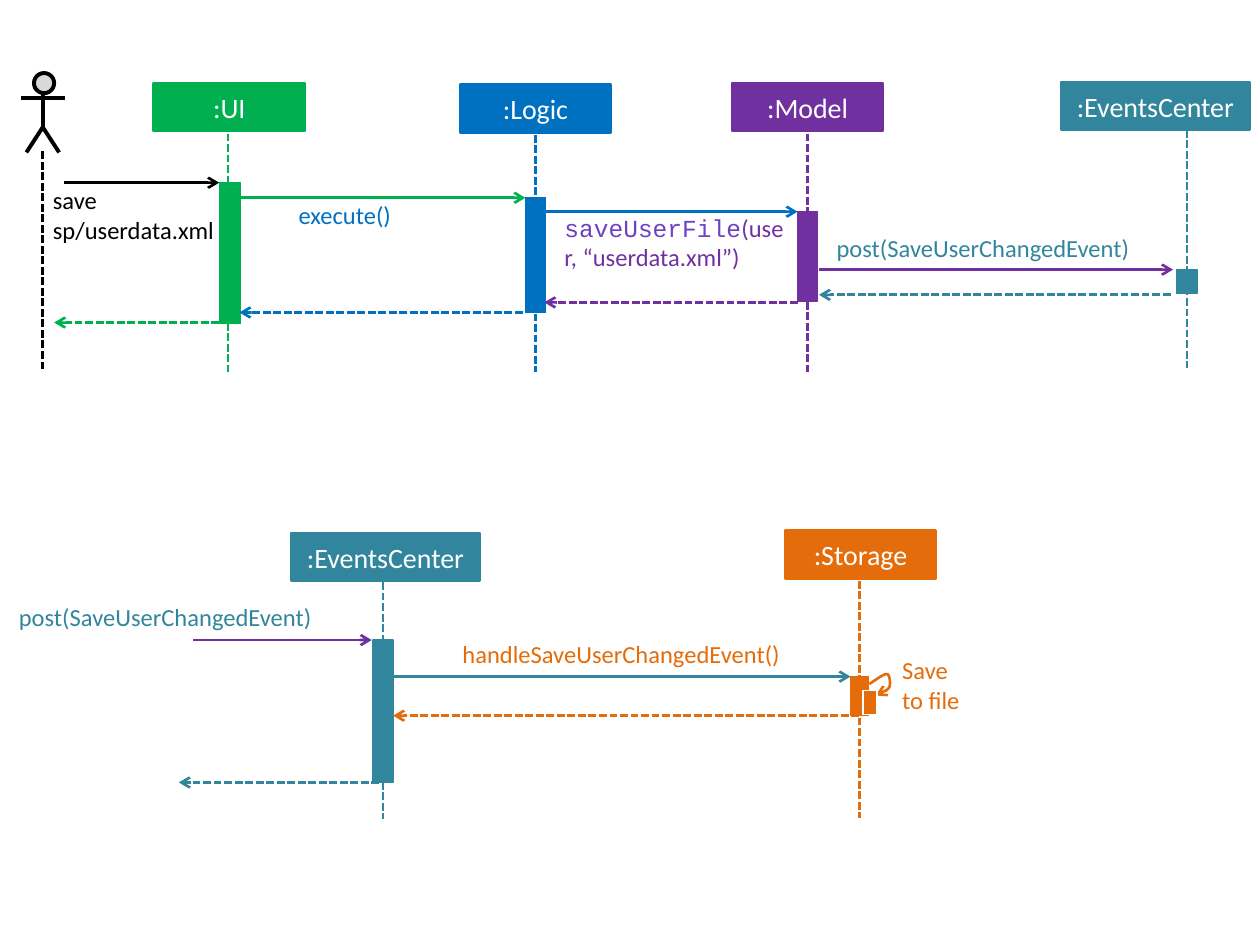
"""Build a sequence diagram of saving user data through an events center."""
import pptx
import pptx.util
import pptx.dml.color
import pptx.enum.dml
import pptx.enum.shapes
import pptx.enum.text
import pptx.oxml
import pptx.oxml.ns

BLACK, WHITE, GREY = "000000", "FFFFFF", "D9D9D9"
GREEN, BLUE, PURPLE = "00B050", "0070C0", "7030A0"
TEAL, ORANGE, VIOLET = "31859C", "E46C0A", "6F42C1"
SANS, MONO = "Calibri", "Courier New"
HEAD = 0.38

LANES = [
    (":UI", GREEN, (1.22, 0.66, 1.2), (1.81, 1.06, 2.95), (1.74, 1.45, 0.17, 1.12)),
    (":Logic", BLUE, (3.65, 0.67, 1.2), (4.25, 1.07, 2.95), (4.17, 1.57, 0.16, 0.91)),
    (":Model", PURPLE, (5.81, 0.66, 1.2), (6.41, 1.06, 2.95), (6.33, 1.68, 0.16, 0.71)),
    (":EventsCenter", TEAL, (8.42, 0.65, 1.5), (9.42, 1.03, 2.92), (9.34, 2.14, 0.16, 0.19)),
    (":Storage", ORANGE, (6.23, 4.21, 1.2), (6.82, 4.61, 6.49), (6.75, 5.37, 0.14, 0.31)),
    (":EventsCenter", TEAL, (2.31, 4.23, 1.5), (3.04, 4.62, 6.5), (2.96, 5.08, 0.16, 1.13)),
]
CALLS = [
    (BLACK, 0.51, 1.74, 1.45), (GREEN, 1.9, 4.17, 1.57),
    (BLUE, 4.32, 6.33, 1.68), (PURPLE, 6.5, 9.31, 2.14),
    (PURPLE, 1.53, 2.95, 5.08), (TEAL, 3.12, 6.75, 5.37),
]
REPLIES = [
    (PURPLE, 6.33, 4.32, 2.4), (BLUE, 4.15, 1.9, 2.48),
    (GREEN, 1.74, 0.43, 2.56), (TEAL, 9.29, 6.5, 2.34),
    (ORANGE, 6.82, 3.12, 5.68), (TEAL, 3.01, 1.42, 6.21),
]
NOTES = [
    ((0.42, 1.47, 1.3, 0.47), [("save sp/userdata.xml", BLACK, SANS)]),
    ((2.37, 1.59, 1.56, 0.24), [("execute()", BLUE, SANS)]),
    ((4.48, 1.69, 1.78, 0.47), [("saveUserFile", VIOLET, MONO),
                                ("(user, “userdata.xml”)", PURPLE, SANS)]),
    ((6.64, 1.85, 2.67, 0.24), [("post(SaveUserChangedEvent)", TEAL, SANS)]),
    ((0.15, 4.78, 2.97, 0.24), [("post(SaveUserChangedEvent)", TEAL, SANS)]),
    ((3.67, 5.07, 2.91, 0.24), [("handleSaveUserChangedEvent()", ORANGE, SANS)]),
    ((7.16, 5.2, 0.59, 0.47), [("Save\nto file", ORANGE, SANS)]),
]
LEGS = [(0.21, 1.21), (0.34, 1.01), (0.47, 1.21)]
LOOP = [
    [(6.9, 5.43), (6.96, 5.39), (7.01, 5.35), (7.04, 5.35)],
    [(7.04, 5.35), (7.06, 5.35), (7.07, 5.42), (7.06, 5.45)],
    [(7.06, 5.45), (7.05, 5.48), (7, 5.5), (6.95, 5.52)],
]

KIND = pptx.enum.shapes.MSO_SHAPE
inch = pptx.util.Inches
deck = pptx.Presentation()
deck.slide_width, deck.slide_height = inch(10), inch(7.5)
slide = deck.slides.add_slide(deck.slide_layouts[6])


def tint(code):
    return pptx.dml.color.RGBColor.from_string(code)


def stroke(item, color, width, dash=False, arrow=False):
    item.line.color.rgb = tint(color)
    item.line.width = pptx.util.Pt(width)
    if dash:
        item.line.dash_style = pptx.enum.dml.MSO_LINE.SQUARE_DOT
    if arrow:
        ln = item.element.spPr.find(pptx.oxml.ns.qn("a:ln"))
        space = pptx.oxml.ns.nsdecls("a")
        ln.append(pptx.oxml.parse_xml(f'<a:tailEnd {space} type="arrow"/>'))


def line(start, end, color, width=1.5, dash=False, arrow=False, home=slide):
    kind = pptx.enum.shapes.MSO_CONNECTOR.STRAIGHT
    link = home.shapes.add_connector(kind, *map(inch, start + end))
    stroke(link, color, width, dash, arrow)
    space = pptx.oxml.ns.nsdecls("a")
    link.element.spPr.append(pptx.oxml.parse_xml(f"<a:effectLst {space}/>"))


def shape(box, fill, edge, width, kind=KIND.RECTANGLE, home=slide):
    item = home.shapes.add_shape(kind, *map(inch, box))
    item.shadow.inherit = False
    item.fill.solid()
    item.fill.fore_color.rgb = tint(fill)
    stroke(item, edge, width)
    return item


def trace(points, color, width, arrow=False, home=slide):
    spots = [(inch(x), inch(y)) for x, y in points]
    pen = home.shapes.build_freeform(*spots[0])
    pen.add_line_segments(spots[1:], close=False)
    item = pen.convert_to_shape()
    item.shadow.inherit = False
    item.fill.background()
    stroke(item, color, width, arrow=arrow)


def write(frame, text, color=WHITE, font=SANS, size=14, center=False):
    para = frame.paragraphs[0]
    if center:
        para.alignment = pptx.enum.text.PP_ALIGN.CENTER
        frame.vertical_anchor = pptx.enum.text.MSO_ANCHOR.MIDDLE
    for row, part in enumerate(text.split("\n")):
        if row:
            para.add_line_break()
        run = para.add_run()
        run.text = part
        run.font.size = pptx.util.Pt(size)
        run.font.name = font
        run.font.color.rgb = tint(color)


def bend(curve, steps=12):
    for step in range(steps + 1):
        t = step / steps
        share = ((1 - t) ** 3, 3 * t * (1 - t) ** 2, 3 * t * t * (1 - t), t ** 3)
        yield tuple(sum(s * p[axis] for s, p in zip(share, curve)) for axis in (0, 1))


for name, color, (left, top, width), (x, start, end), bar in LANES:
    head = shape((left, top, width, HEAD), color, color, 1.5)
    write(head.text_frame, name, size=16, center=True)
    line((x, start), (x, end), color, dash=True)
    shape(bar, color, color, 0.75)

actor = slide.shapes.add_group_shape()
shape((0.27, 0.58, 0.16, 0.16), GREY, BLACK, 2.25, KIND.FLOWCHART_CONNECTOR, actor)
line((0.34, 0.74), (0.34, 1.02), BLACK, 2.25, home=actor)
trace(LEGS, BLACK, 2.25, home=actor)
line((0.17, 0.78), (0.52, 0.78), BLACK, 2.25, home=actor)
line((0.34, 1.2), (0.34, 2.95), BLACK, dash=True)

for group, dash in ((CALLS, False), (REPLIES, True)):
    for color, start, end, y in group:
        line((start, y), (end, y), color, dash=dash, arrow=True)

for box, runs in NOTES:
    frame = slide.shapes.add_textbox(*map(inch, box)).text_frame
    frame.word_wrap = True
    frame.margin_left = frame.margin_right = frame.margin_top = frame.margin_bottom = 0
    for text, color, font in runs:
        write(frame, text, color, font)

nested = slide.shapes.add_group_shape()
trace([spot for curve in LOOP for spot in bend(curve)], ORANGE, 1.5, True, nested)
shape((6.85, 5.48, 0.11, 0.19), ORANGE, WHITE, 0.75, home=nested)

deck.save("out.pptx")
